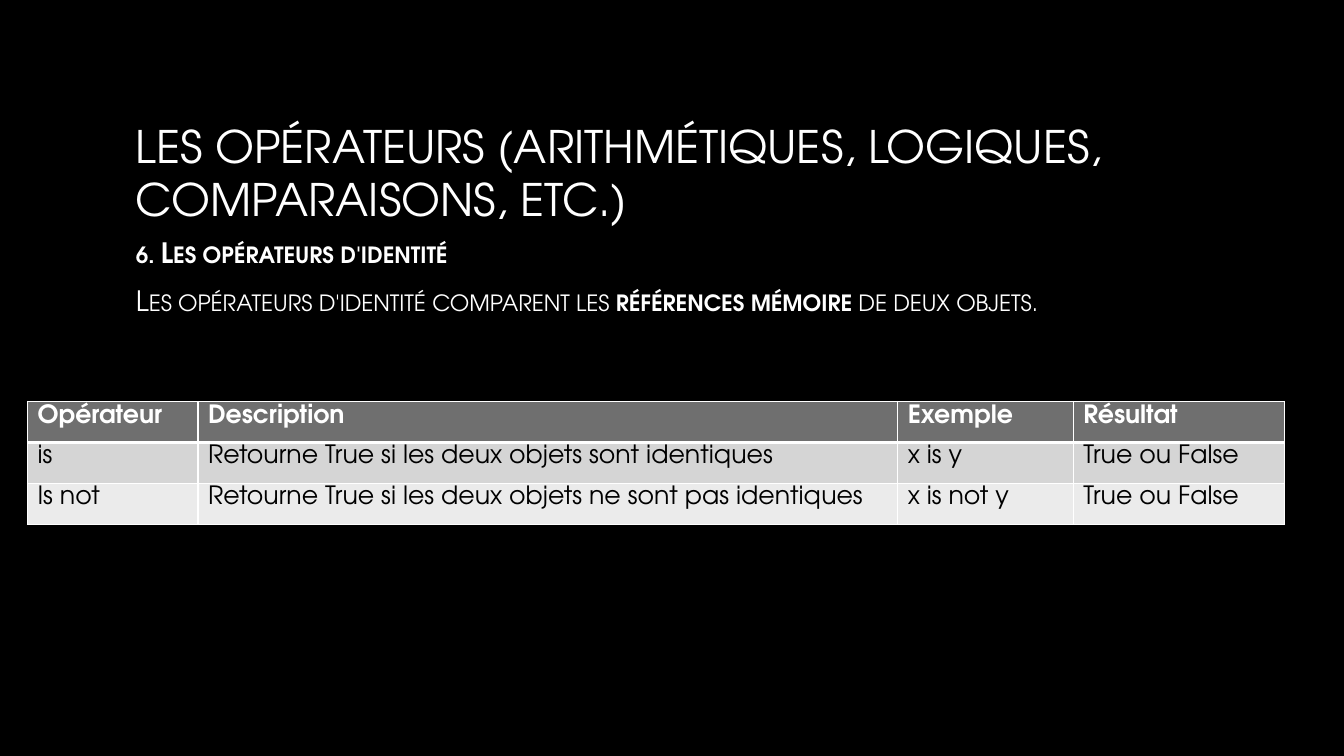
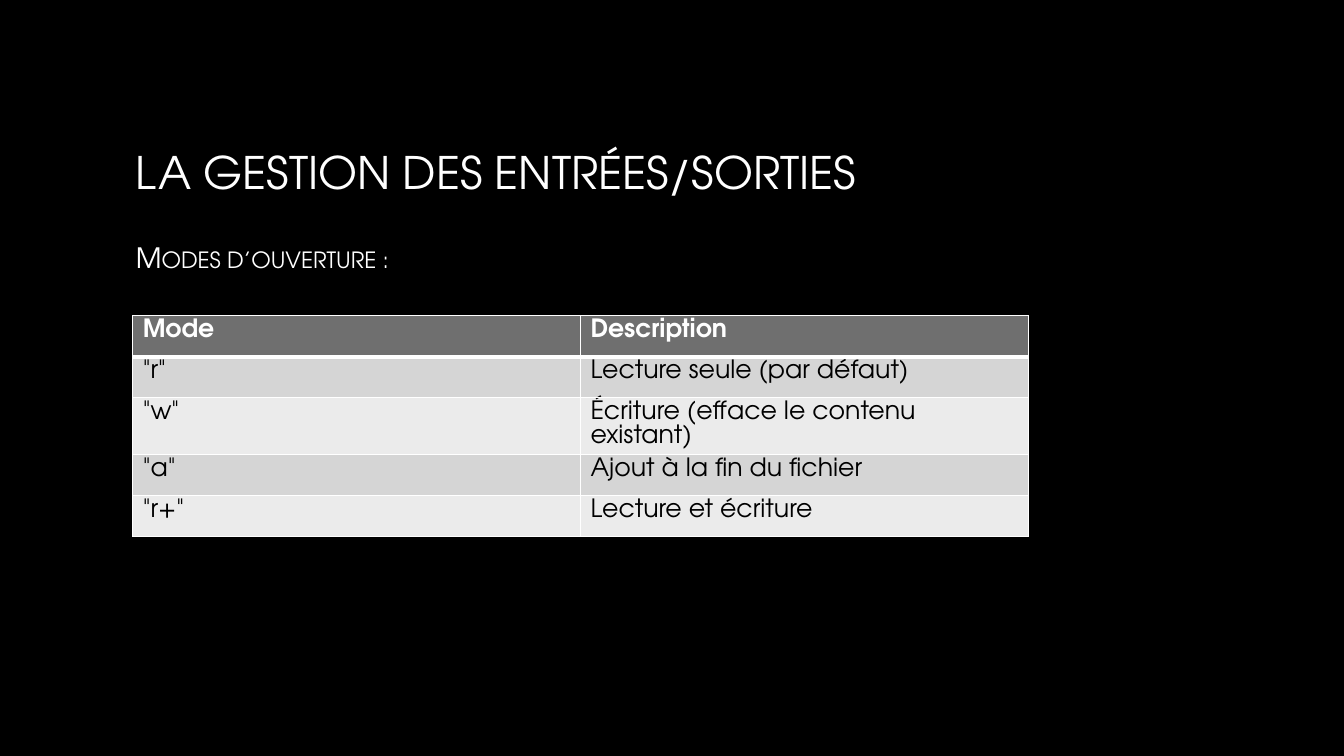
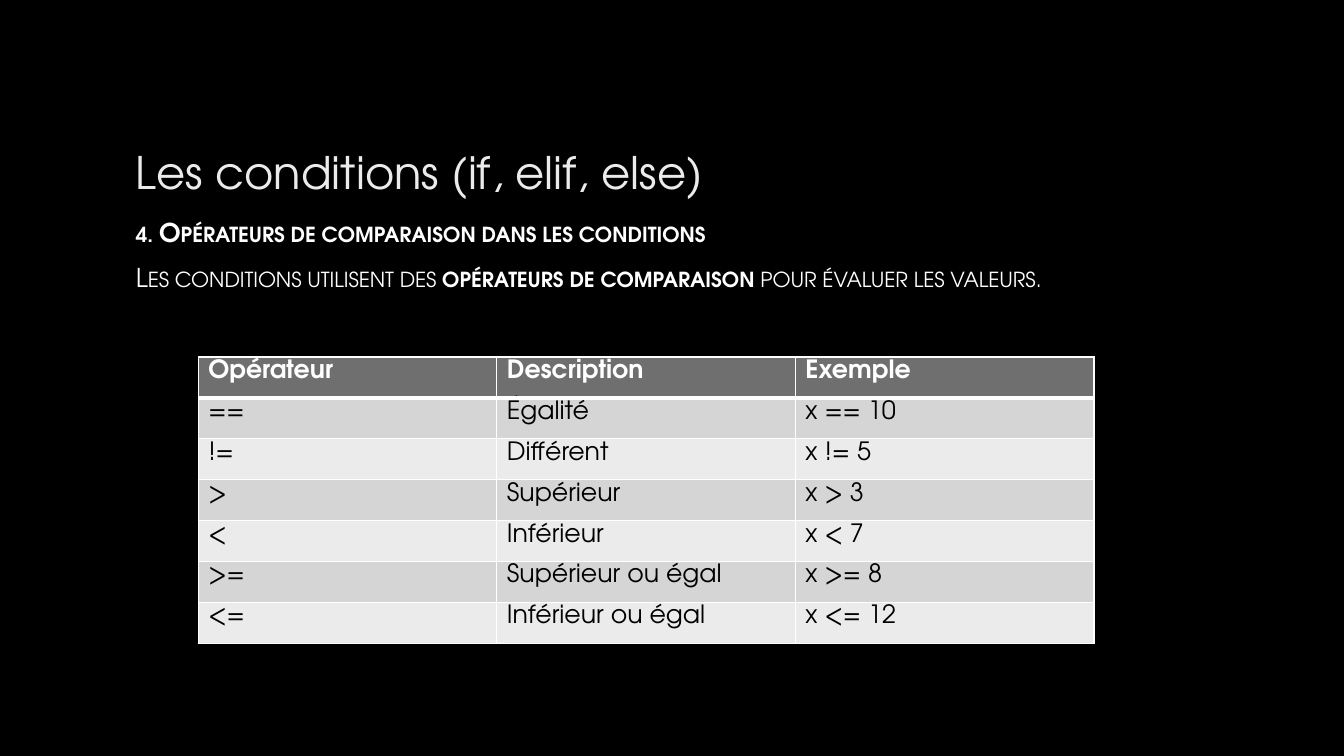
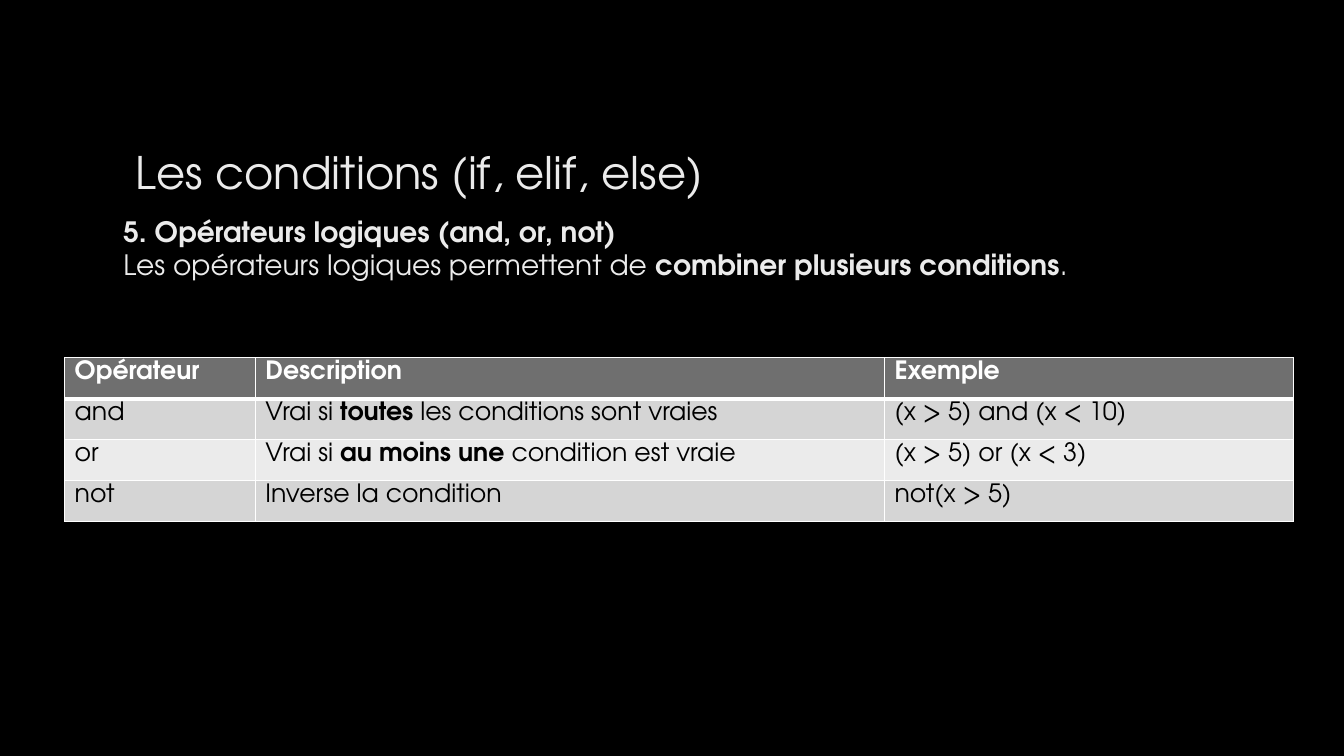
from lxml.etree import SubElement
from pptx import Presentation
from pptx.dml.color import RGBColor
from pptx.enum.text import MSO_ANCHOR
from pptx.oxml.ns import qn
from pptx.util import Inches, Pt

WHITE = RGBColor(0xFF, 0xFF, 0xFF)
BLACK = RGBColor(0x00, 0x00, 0x00)
PALE = RGBColor(0xEB, 0xEB, 0xEB)
LIGHT = RGBColor(0xD5, 0xD5, 0xD5)
HEADER = RGBColor(0x6F, 0x6F, 0x6F)

FONT = "TeX Gyre Adventor"
COLUMNS, ROWS = 160, 90
LEFT, WIDTH = 15, 130
TABLE_ROW = 4.87
TEXT_LEADING, TABLE_LEADING = 1.18, 0.97
THIN, THICK = Pt(1), Pt(3)


class Deck:
    def __init__(self):
        self.presentation = Presentation()
        self.presentation.slide_width = Inches(13.33)
        self.presentation.slide_height = Inches(7.5)
        self.slide = None

    def x(self, columns):
        return round(self.presentation.slide_width * columns / COLUMNS)

    def y(self, rows):
        return round(self.presentation.slide_height * rows / ROWS)

    def new_slide(self, title, color=WHITE):
        self.slide = self.presentation.slides.add_slide(self.presentation.slide_layouts[6])
        background = self.slide.background.fill
        background.solid()
        background.fore_color.rgb = BLACK
        frame = self.text_box(LEFT, 8, WIDTH, 25, MSO_ANCHOR.MIDDLE)
        self.add_text(frame.paragraphs[0], title, 32, color)

    def text_box(self, left, top, width, height, anchor):
        box = self.slide.shapes.add_textbox(self.x(left), self.y(top), self.x(width), self.y(height))
        frame = box.text_frame
        frame.word_wrap = True
        frame.vertical_anchor = anchor
        return frame

    def add_text(self, paragraph, text, size, color, bold=False, small_caps=False,
                 leading=TEXT_LEADING):
        """Add the text run by run; ** switches bold on and off."""
        paragraph.line_spacing = Pt(round(size * leading, 1))
        for index, part in enumerate(text.split("**")):
            if not part:
                continue
            run = paragraph.add_run()
            run.text = part
            font = run.font
            font.name, font.size, font.bold = FONT, Pt(size), bold or index % 2 == 1
            font.color.rgb = color
            if small_caps:
                run._r.get_or_add_rPr().set("cap", "small")

    def body(self, top, lines, size=20, left=LEFT, color=WHITE, gap=0, small_caps=True):
        frame = self.text_box(left, top, WIDTH, 5 * len(lines), MSO_ANCHOR.TOP)
        for index, line in enumerate(lines):
            paragraph = frame.add_paragraph() if index else frame.paragraphs[0]
            if index:
                paragraph.space_before = Pt(gap)
            self.add_text(paragraph, line, size, color, small_caps=small_caps)

    def table(self, left, top, widths, records):
        shape = self.slide.shapes.add_table(
            len(records), len(widths), self.x(left), self.y(top),
            self.x(sum(widths)), self.y(TABLE_ROW * len(records)))
        table = shape.table
        for column, width in zip(table.columns, widths):
            column.width = self.x(width)
        for row, record in enumerate(records):
            table.rows[row].height = self.y(TABLE_ROW)
            for column, text in enumerate(record):
                self.cell(table.cell(row, column), text, row)

    def cell(self, cell, text, row):
        is_header = row == 0
        cell.margin_top, cell.margin_bottom = Inches(0.02), Inches(0.06)
        top = THICK if row == 1 else THIN
        bottom = THICK if is_header else THIN
        self.borders(cell, {"lnL": THIN, "lnR": THIN, "lnT": top, "lnB": bottom})
        cell.fill.solid()
        cell.fill.fore_color.rgb = HEADER if is_header else LIGHT if row % 2 else PALE
        self.add_text(cell.text_frame.paragraphs[0], text, 18, WHITE if is_header else BLACK,
                      bold=is_header, leading=TABLE_LEADING)

    def borders(self, cell, widths):
        properties = cell._tc.get_or_add_tcPr()
        for side, width in widths.items():
            line = SubElement(properties, qn(f"a:{side}"), w=str(int(width)))
            fill = SubElement(line, qn("a:solidFill"))
            SubElement(fill, qn("a:srgbClr"), val=str(WHITE))


def main():
    deck = Deck()

    deck.new_slide("LES OPÉRATEURS (ARITHMÉTIQUES, LOGIQUES, COMPARAISONS, ETC.)")
    deck.body(27.5, [
        "**6. Les opérateurs d'identité**",
        "Les opérateurs d'identité comparent les **références mémoire** de deux objets.",
    ], gap=10.7)
    deck.table(3.27, 47.8, [20.3, 83.3, 20.9, 25.2], [
        ("Opérateur", "Description", "Exemple", "Résultat"),
        ("is", "Retourne True si les deux objets sont identiques", "x is y", "True ou False"),
        ("Is not", "Retourne True si les deux objets ne sont pas identiques", "x is not y",
         "True ou False"),
    ])

    deck.new_slide("LA GESTION DES ENTRÉES/SORTIES")
    deck.body(28.1, ["Modes d’ouverture :"])
    deck.table(15.8, 37.6, [53.3] * 2, [
        ("Mode", "Description"),
        ('"r"', "Lecture seule (par défaut)"),
        ('"w"', "Écriture (efface le contenu existant)"),
        ('"a"', "Ajout à la fin du fichier"),
        ('"r+"', "Lecture et écriture"),
    ])

    conditions = "Les conditions (if, elif, else)"
    deck.new_slide(conditions, PALE)
    deck.body(25.3, [
        "**4. Opérateurs de comparaison dans les conditions**",
        "Les conditions utilisent des **opérateurs de comparaison** pour évaluer les valeurs.",
    ], size=18.5, gap=10.4)
    deck.table(23.6, 42.5, [35.55] * 3, [
        ("Opérateur", "Description", "Exemple"),
        ("==", "Égalité", "x == 10"),
        ("!=", "Différent", "x != 5"),
        (">", "Supérieur", "x > 3"),
        ("<", "Inférieur", "x < 7"),
        (">=", "Supérieur ou égal", "x >= 8"),
        ("<=", "Inférieur ou égal", "x <= 12"),
    ])

    deck.new_slide(conditions, PALE)
    deck.body(25, [
        "**5. Opérateurs logiques (and, or, not)**",
        "Les opérateurs logiques permettent de **combiner plusieurs conditions**.",
    ], left=13.5, color=PALE, small_caps=False)
    deck.table(7.7, 42.6, [22.7, 74.9, 48.7], [
        ("Opérateur", "Description", "Exemple"),
        ("and", "Vrai si **toutes** les conditions sont vraies", "(x > 5) and (x < 10)"),
        ("or", "Vrai si **au moins une** condition est vraie", "(x > 5) or (x < 3)"),
        ("not", "Inverse la condition", "not(x > 5)"),
    ])

    deck.presentation.save("out.pptx")


if __name__ == "__main__":
    main()
